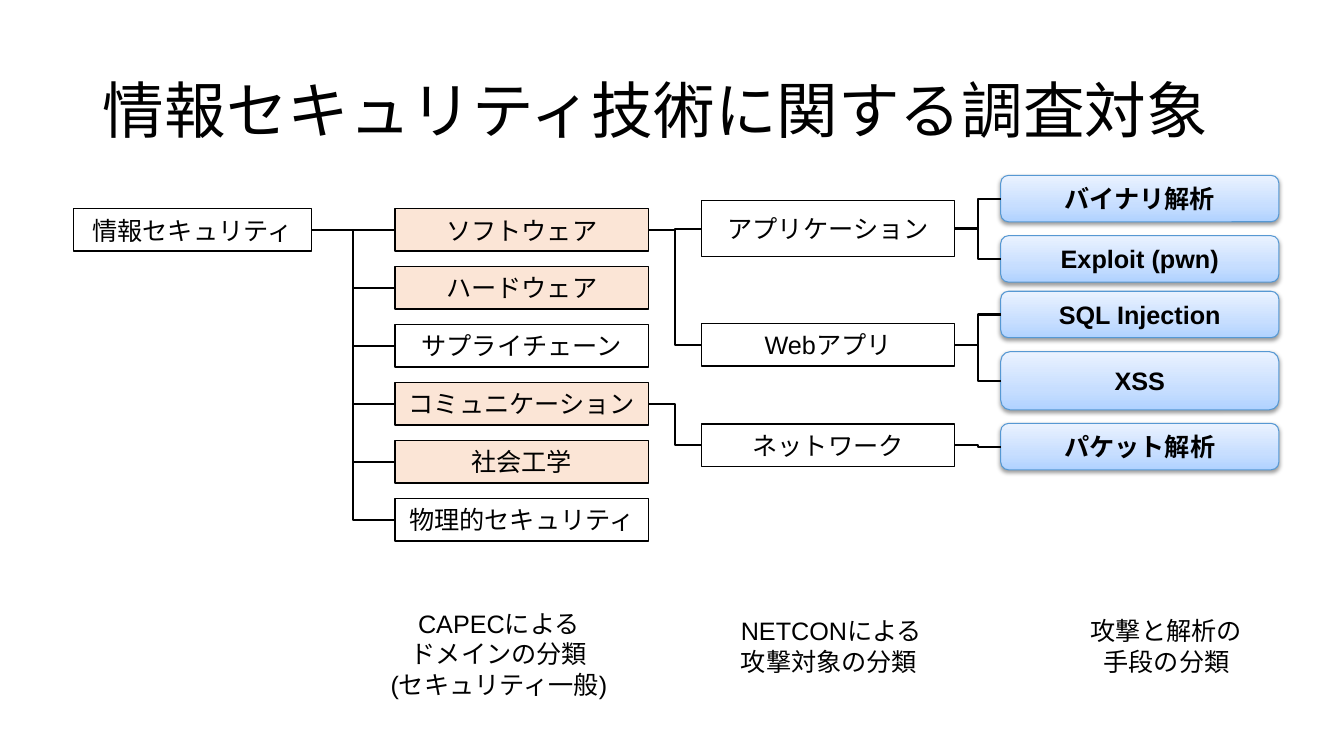
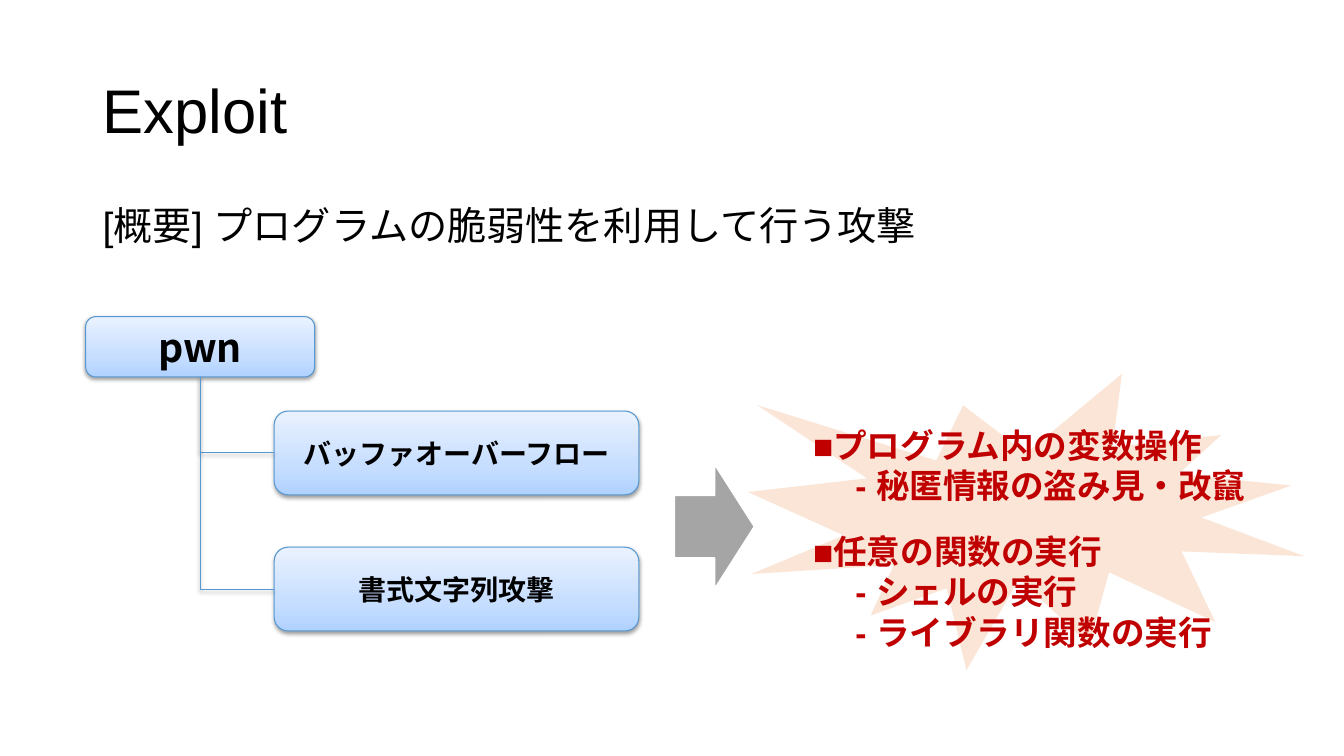
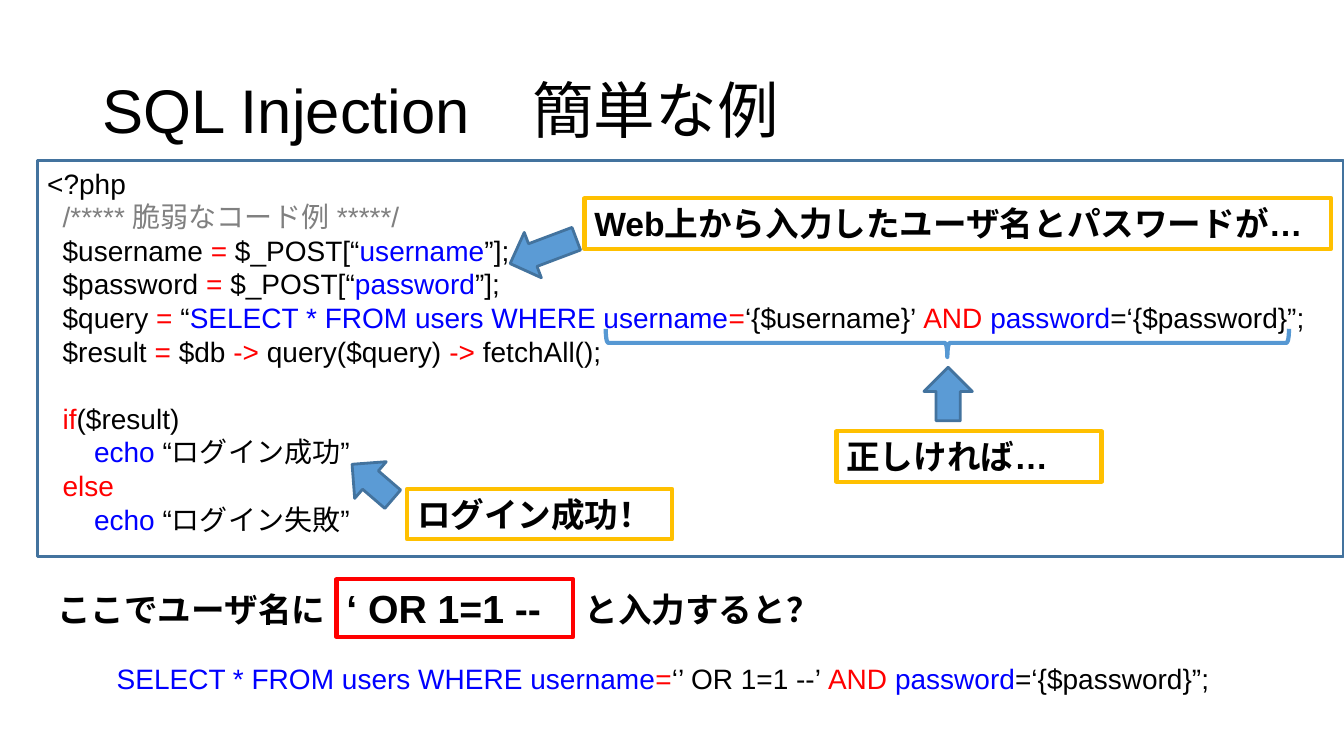
from dataclasses import dataclass

from lxml import etree
from pptx import Presentation
from pptx.dml.color import RGBColor
from pptx.enum.shapes import MSO_CONNECTOR, MSO_SHAPE
from pptx.enum.text import MSO_ANCHOR, PP_ALIGN
from pptx.oxml.ns import qn
from pptx.util import Cm, Pt

RECTANGLE = MSO_SHAPE.RECTANGLE
ROUNDED = MSO_SHAPE.ROUNDED_RECTANGLE
LEFT_ARROW = MSO_SHAPE.LEFT_ARROW
RIGHT_ARROW = MSO_SHAPE.RIGHT_ARROW
LEFT_BRACE = MSO_SHAPE.LEFT_BRACE
BURST = MSO_SHAPE.EXPLOSION1
ELBOW = MSO_CONNECTOR.ELBOW
LEFT, CENTER = PP_ALIGN.LEFT, PP_ALIGN.CENTER
TOP, MIDDLE = MSO_ANCHOR.TOP, MSO_ANCHOR.MIDDLE
TITLE_ONLY = 5
LEFT_SIDE, BOTTOM_SIDE, RIGHT_SIDE = 1, 2, 3


@dataclass(frozen=True)
class Theme:
    font: str = "Arial"
    japanese_font: str = "Noto Sans CJK JP"
    black: str = "000000"
    white: str = "FFFFFF"
    peach: str = "FBE5D6"
    gray: str = "A5A5A5"
    comment: str = "808080"
    blue: str = "0000FF"
    red: str = "FF0000"
    dark_red: str = "C00000"
    gold: str = "FFC000"
    arrow_fill: str = "5B9BD5"
    arrow_line: str = "43739E"
    card_line: str = "5698D3"
    card_stops: tuple = ((0, "B0D2FF"), (35, "C7DEFF"), (100, "EAF2FF"))
    title_size: int = 44
    lead_size: int = 28
    note_size: int = 24
    code_size: int = 20
    label_size: int = 18


THEME = Theme()


@dataclass
class Line:
    """One paragraph: (text, colour) runs, left indent in cm, space before in points."""
    runs: list
    indent: float = 0
    before: float = 0


class Deck:
    def __init__(self):
        self.presentation = Presentation()
        self.presentation.slide_width = Cm(33.87)
        self.presentation.slide_height = Cm(19.05)
        self.slide = None

    def new_slide(self, title):
        layout = self.presentation.slide_layouts[TITLE_ONLY]
        self.slide = self.presentation.slides.add_slide(layout)
        placeholder = self.slide.shapes.title
        self.place(placeholder, (2.34, 1.02, 29.21, 3.68))
        self.set_lines(placeholder, [title], THEME.title_size, align=LEFT, spacing=0.9)

    @staticmethod
    def place(shape, box):
        shape.left, shape.top, shape.width, shape.height = map(Cm, box)

    @staticmethod
    def set_lines(shape, lines, size, color=THEME.black, bold=False, align=CENTER,
                  anchor=MIDDLE, font=THEME.font, spacing=None):
        frame = shape.text_frame
        frame.word_wrap = True
        frame.vertical_anchor = anchor
        for index, line in enumerate(lines):
            if isinstance(line, str):
                line = Line([(line, color)])
            paragraph = frame.add_paragraph() if index else frame.paragraphs[0]
            paragraph.alignment = align
            paragraph.line_spacing = spacing
            if line.before:
                paragraph.space_before = Pt(line.before)
            if line.indent:
                paragraph._p.get_or_add_pPr().set("marL", str(Cm(line.indent)))
            for text, run_color in line.runs:
                run = paragraph.add_run()
                run.text = text
                run.font.name = font
                run.font.size = Pt(size)
                run.font.bold = bold
                run.font.color.rgb = RGBColor.from_string(run_color)
                # East Asian characters take the same font
                latin = run.font._element.find(qn("a:latin"))
                east_asian = etree.Element(qn("a:ea"), typeface=font)
                latin.addnext(east_asian)

    def text(self, box, lines, size, **style):
        shape = self.slide.shapes.add_textbox(*map(Cm, box))
        self.set_lines(shape, lines, size, **{"align": LEFT, "anchor": TOP, **style})

    def shape(self, kind, box, fill=None, line=None, width=1, rotation=0):
        shape = self.slide.shapes.add_shape(kind, *map(Cm, box))
        shape.shadow.inherit = False
        shape.rotation = rotation
        if fill:
            shape.fill.solid()
            shape.fill.fore_color.rgb = RGBColor.from_string(fill)
        else:
            shape.fill.background()
        if line:
            shape.line.color.rgb = RGBColor.from_string(line)
            shape.line.width = Pt(width)
        else:
            shape.line.fill.background()
        return shape

    def box(self, box, label, fill=THEME.white):
        shape = self.shape(RECTANGLE, box, fill, THEME.black)
        self.set_lines(shape, [label], THEME.label_size)
        return shape

    def card(self, box, label, size=THEME.label_size, font=THEME.font):
        shape = self.shape(ROUNDED, box, line=THEME.card_line, width=0.75)
        shape.fill.gradient()
        shape.fill.gradient_angle = 90
        properties = shape._element.spPr
        stops = properties.find(".//" + qn("a:gsLst"))
        for stop in list(stops):
            stops.remove(stop)
        for position, color in THEME.card_stops:
            stop = etree.SubElement(stops, qn("a:gs"), pos=str(position * 1000))
            etree.SubElement(stop, qn("a:srgbClr"), val=color)
        self.add_shadow(properties.find(qn("a:effectLst")))
        self.set_lines(shape, [label], size, bold=True, font=font)
        return shape

    def note(self, box, label, line=THEME.gold, size=THEME.note_size):
        shape = self.shape(RECTANGLE, box, line=line, width=3)
        self.set_lines(shape, [label], size, bold=True, align=LEFT, anchor=TOP)

    def block_arrow(self, box, rotation):
        self.shape(LEFT_ARROW, box, THEME.arrow_fill, THEME.arrow_line, 2, rotation)

    @staticmethod
    def add_shadow(effects):
        shadow = etree.SubElement(effects, qn("a:outerShdw"), blurRad=str(Pt(3.1)),
                                  dist=str(Pt(1.6)), dir="5400000", rotWithShape="0")
        color = etree.SubElement(shadow, qn("a:srgbClr"), val=THEME.black)
        etree.SubElement(color, qn("a:alpha"), val="38000")

    def connect(self, parent, child, hanging=False):
        """Join a child's left side to its parent's right side, or bottom if hanging."""
        connector = self.slide.shapes.add_connector(ELBOW, 0, 0, 0, 0)
        connector.begin_connect(child, LEFT_SIDE)
        connector.end_connect(parent, BOTTOM_SIDE if hanging else RIGHT_SIDE)
        color = THEME.card_line if hanging else THEME.black
        connector.line.color.rgb = RGBColor.from_string(color)
        connector.line.width = Pt(0.75 if hanging else 1.5)
        properties = connector._element.spPr
        effects = etree.SubElement(properties, qn("a:effectLst"))
        if hanging:
            properties.find(qn("a:prstGeom")).set("prst", "bentConnector2")
            self.add_shadow(effects)


def survey_slide(deck):
    deck.new_slide("情報セキュリティ技術に関する調査対象")

    # Tree columns, left to right
    root = deck.box((1.85, 5.26, 6, 1.07), "情報セキュリティ")
    domains = [("ソフトウェア", THEME.peach), ("ハードウェア", THEME.peach),
               ("サプライチェーン", THEME.white), ("コミュニケーション", THEME.peach),
               ("社会工学", THEME.peach), ("物理的セキュリティ", THEME.white)]
    domain_boxes = [deck.box((9.96, 5.26 + 1.46 * row, 6.38, 1.07), label, fill)
                    for row, (label, fill) in enumerate(domains)]
    targets = [("アプリケーション", 5.05, 1.42), ("Webアプリ", 8.15, 1.07),
               ("ネットワーク", 10.69, 1.07)]
    application, web, network = [deck.box((17.68, top, 6.38, height), label)
                                 for label, top, height in targets]
    methods = [("バイナリ解析", 4.42, 1.17), ("Exploit (pwn)", 5.94, 1.17),
               ("SQL Injection", 7.34, 1.17), ("XSS", 8.86, 1.47),
               ("パケット解析", 10.67, 1.17)]
    binary, exploit, injection, scripting, packet = [
        deck.card((25.22, top, 7.01, height), label) for label, top, height in methods]

    # Branches
    software, communication = domain_boxes[0], domain_boxes[3]
    branches = [(root, domain_boxes), (software, [application, web]),
                (communication, [network]), (application, [binary, exploit]),
                (web, [injection, scripting]), (network, [packet])]
    for parent, children in branches:
        for child in children:
            deck.connect(parent, child)

    # Column captions
    captions = [
        ((7.85, 15.21, 9.45, 2.6), ["CAPECによる", "ドメインの分類", "(セキュリティ一般)"], CENTER),
        ((18.42, 15.39, 6.02, 1.8), ["NETCONによる", "攻撃対象の分類"], LEFT),
        ((26.92, 15.39, 4.95, 1.8), ["攻撃と解析の", "手段の分類"], CENTER)]
    for box, lines, align in captions:
        deck.text(box, lines, THEME.label_size, align=align)


def exploit_slide(deck):
    deck.new_slide("Exploit")
    deck.text((2.34, 5.08, 29.21, 2.62), ["[概要] プログラムの脆弱性を利用して行う攻撃"],
              THEME.lead_size, spacing=0.9)

    # Attack tree
    pwn = deck.card((2.16, 7.98, 5.77, 1.52), "pwn", THEME.lead_size, THEME.japanese_font)
    for top, label in [(10.36, "バッファオーバーフロー"), (13.79, "書式文字列攻撃")]:
        attack = deck.card((6.91, top, 9.19, 2.11), label, THEME.code_size,
                           THEME.japanese_font)
        deck.connect(pwn, attack, hanging=True)

    # Consequences
    deck.shape(BURST, (18.85, 9.42, 14.02, 7.47), THEME.peach)
    deck.shape(RIGHT_ARROW, (16.99, 11.68, 2.03, 3.18), THEME.gray, THEME.white, 1.5)
    red = THEME.dark_red
    deck.text((20.24, 10.57, 13.6, 6.07), [
        "■プログラム内の変数操作",
        Line([("- 秘匿情報の盗み見・改竄", red)], indent=1.07),
        Line([("■任意の関数の実行", red)], before=18.5),
        Line([("- シェルの実行", red)], indent=1.07),
        Line([("- ライブラリ関数の実行", red)], indent=1.07),
    ], THEME.note_size, color=red, bold=True)


def injection_slide(deck):
    deck.new_slide("SQL Injection　簡単な例")
    black, blue, red = THEME.black, THEME.blue, THEME.red
    outer, inner = 0.39, 1.18
    select = [("SELECT * FROM users WHERE username", blue), ("=", red)]
    condition = [("AND ", red), ("password", blue), ("=‘{$password}”;", black)]

    def post_line(field):
        return Line([(f"${field} ", black), ("=", red), (" $_POST[“", black),
                     (field, blue), ("”];", black)], outer)

    def echo_line(message):
        return Line([("echo", blue), (f" “{message}”", black)], inner)

    # Code listing
    deck.text((0.94, 4.06, 32.92, 9.65), [
        "<?php",
        Line([("/***** 脆弱なコード例 *****/", THEME.comment)], outer),
        post_line("username"),
        post_line("password"),
        Line([("$query ", black), ("=", red), (" “", black), *select,
              ("‘{$username}’ ", black), *condition], outer),
        Line([("$result ", black), ("=", red), (" $db ", black), ("->", red),
              (" query($query) ", black), ("-> ", red), ("fetchAll();", black)], outer),
        Line([("if", red), ("($result)", black)], outer, before=24),
        echo_line("ログイン成功"),
        Line([("else", red)], outer),
        echo_line("ログイン失敗"),
    ], THEME.code_size)
    deck.shape(RECTANGLE, (0.94, 4.04, 32.92, 9.98), line=THEME.arrow_line, width=2)

    # Notes on the code
    deck.block_arrow((12.8, 5.72, 1.78, 1.22), 339.4)
    deck.note((14.73, 5, 18.82, 1.27), "Web上から入力したユーザ名とパスワードが…")
    deck.shape(LEFT_BRACE, (23.52, 0.03, 0.71, 17.22), line=THEME.card_line,
               width=3, rotation=270)
    deck.block_arrow((23.22, 9.32, 1.35, 1.22), 90)
    deck.note((21.08, 10.87, 6.68, 1.27), "正しければ…")
    deck.block_arrow((8.71, 11.53, 1.35, 1.22), 40.7)
    deck.note((10.26, 12.32, 6.68, 1.27), "ログイン成功！")

    # Attack input and the resulting query
    for left, words in [(1.19, "ここでユーザ名に"), (14.48, "と入力すると？")]:
        deck.text((left, 14.71, 7.57, 1.27), [words], THEME.note_size, bold=True)
    deck.note((8.48, 14.6, 5.97, 1.45), "‘ OR 1=1 --", red, THEME.lead_size)
    deck.text((2.69, 16.54, 29.82, 1.12),
              [Line([*select, ("‘’ OR 1=1 --’ ", black), *condition])], THEME.code_size)


def main():
    deck = Deck()
    survey_slide(deck)
    exploit_slide(deck)
    injection_slide(deck)
    deck.presentation.save("out.pptx")


if __name__ == "__main__":
    main()
